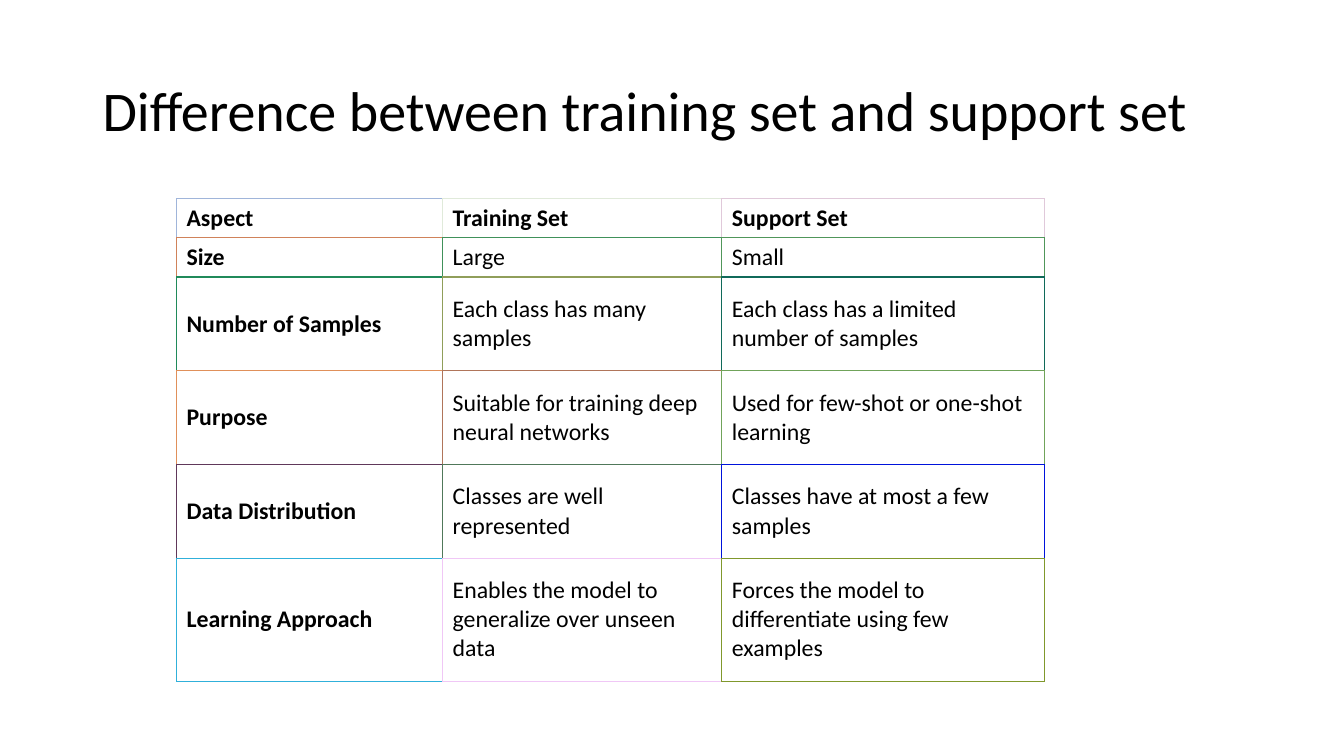
from lxml import etree
from pptx import Presentation
from pptx import util as u
from pptx.dml.color import RGBColor
from pptx.enum import text
from pptx.oxml import ns

WIDTH, HEIGHT = u.Inches(13.333), u.Inches(7.5)
BLACK = RGBColor(0x00, 0x00, 0x00)
WHITE = RGBColor(0xFF, 0xFF, 0xFF)

TITLE = "Difference between training set and support set"
TITLE_FORMAT = {"name": "Calibri", "size": u.Pt(40), "bold": False}
CELL_FORMAT = {"name": "Calibri", "size": u.Pt(17)}

COLUMN_SHARES = [19.8, 20.78, 24]
ROW_SHARES = [5.07, 5.07, 12.4, 12.4, 12.4, 16.27]
COMPARISON = [
    ["Aspect", "Training Set", "Support Set"],
    ["Size", "Large", "Small"],
    ["Number of Samples", "Each class has many samples",
     "Each class has a limited number of samples"],
    ["Purpose", "Suitable for training deep neural networks",
     "Used for few-shot or one-shot learning"],
    ["Data Distribution", "Classes are well represented",
     "Classes have at most a few samples"],
    ["Learning Approach", "Enables the model to generalize over unseen data",
     "Forces the model to differentiate using few examples"],
]
BORDER_COLOURS = [
    [RGBColor(0xA0, 0xB5, 0xDA), RGBColor(0xE0, 0xEA, 0xDA), RGBColor(0xE0, 0xC9, 0xDA)],
    [RGBColor(0xD0, 0x82, 0x5A), RGBColor(0x40, 0x91, 0x5A), RGBColor(0x50, 0x96, 0x5A)],
    [RGBColor(0x20, 0x8A, 0x5A), RGBColor(0x90, 0x9E, 0x5A), RGBColor(0x10, 0x6A, 0x5A)],
    [RGBColor(0xE0, 0x90, 0x5A), RGBColor(0xB0, 0x75, 0x5A), RGBColor(0x70, 0xA3, 0x5A)],
    [RGBColor(0x60, 0x38, 0x5A), RGBColor(0x50, 0x78, 0x5A), RGBColor(0x00, 0x13, 0xDB)],
    [RGBColor(0x30, 0xB0, 0xDA), RGBColor(0xF0, 0xC7, 0xF6), RGBColor(0x80, 0x98, 0x2C)],
]


def across(percent):
    return round(WIDTH * percent / 100)


def down(percent):
    return round(HEIGHT * percent / 100)


def apply_format(target, values):
    for name, value in values.items():
        setattr(target, name, value)


def add_title(page):
    title = page.shapes.title
    apply_format(title, {"left": across(6.88), "top": down(5.33),
                         "width": across(86.25), "height": down(19.33)})
    frame = title.text_frame
    apply_format(frame, {"text": TITLE, "word_wrap": True,
                         "vertical_anchor": text.MSO_ANCHOR.MIDDLE})
    para = frame.paragraphs[0]
    apply_format(para, {"alignment": text.PP_ALIGN.LEFT, "line_spacing": 0.9})
    span = para.runs[0]
    apply_format(span.font, TITLE_FORMAT)
    span.font.color.rgb = BLACK


def set_borders(cell, borders):
    properties = cell._tc.get_or_add_tcPr()
    for index, (side, (colour, points)) in enumerate(borders.items()):
        line = etree.Element(ns.qn(f"a:ln{side}"), w=str(u.Pt(points)))
        fill = etree.SubElement(line, ns.qn("a:solidFill"))
        etree.SubElement(fill, ns.qn("a:srgbClr"), val=str(colour))
        properties.insert(index, line)


def cell_borders(row, column):
    last_row, last_column = len(COMPARISON) - 1, len(COLUMN_SHARES) - 1
    own = BORDER_COLOURS[row][column]
    right = BORDER_COLOURS[row][min(column + 1, last_column)]
    below = BORDER_COLOURS[min(row + 1, last_row)][column]
    return {"L": (own, 0.6), "R": (right, 0.6),
            "T": (own, 1 if row else 0.6),
            "B": (below, 1 if row < last_row else 0.6)}


def fill_cell(cell, words, bold, anchor):
    apply_format(cell, {"text": words, "vertical_anchor": anchor})
    cell.fill.solid()
    cell.fill.fore_color.rgb = WHITE
    font = cell.text_frame.paragraphs[0].runs[0].font
    apply_format(font, {**CELL_FORMAT, "bold": bold})
    font.color.rgb = BLACK


def add_comparison(page):
    frame = page.shapes.add_table(
        len(COMPARISON), len(COLUMN_SHARES), across(13.13), down(26.27),
        across(sum(COLUMN_SHARES)), down(sum(ROW_SHARES)))
    table = frame.table
    apply_format(table, {"first_row": False, "horz_banding": False})
    for column, share in zip(table.columns, COLUMN_SHARES):
        column.width = across(share)
    for row, share in zip(table.rows, ROW_SHARES):
        row.height = down(share)
    for row, entries in enumerate(COMPARISON):
        anchor = text.MSO_ANCHOR.MIDDLE if row else text.MSO_ANCHOR.BOTTOM
        for column, words in enumerate(entries):
            cell = table.cell(row, column)
            fill_cell(cell, words, row == 0 or column == 0, anchor)
            set_borders(cell, cell_borders(row, column))


def main():
    deck = Presentation()
    apply_format(deck, {"slide_width": WIDTH, "slide_height": HEIGHT})
    page = deck.slides.add_slide(deck.slide_layouts[5])
    add_title(page)
    add_comparison(page)
    deck.save("out.pptx")


if __name__ == "__main__":
    main()
